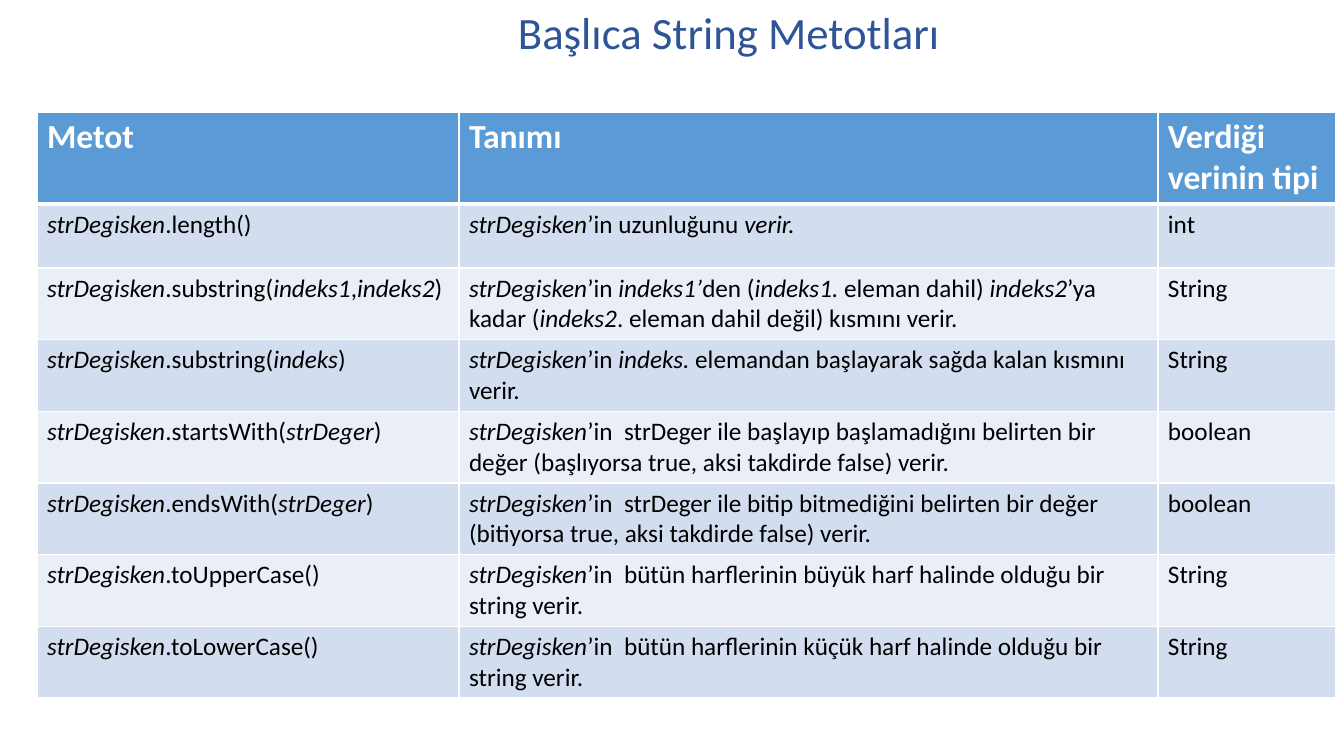
from lxml import etree
from pptx import Presentation
from pptx import util as u
from pptx.dml.color import RGBColor
from pptx.enum import text
from pptx.oxml.ns import qn

TITLE = "Başlıca String Metotları"
HEADER = ("Metot", "Tanımı", "Verdiği verinin tipi")
# Asterisks enclose italic words.
METHODS = [
    ("*strDegisken*.length()", "*strDegisken*’in uzunluğunu* verir.*", "int"),
    ("*strDegisken*.substring(*indeks1*,*indeks2*)",
     "*strDegisken*’in* indeks1’*den (*indeks1. *eleman dahil) *indeks2*’ya kadar "
     "(*indeks2*. eleman dahil değil) kısmını verir.", "String"),
    ("*strDegisken*.substring(*indeks*)",
     "*strDegisken*’in* indeks. *elemandan başlayarak sağda kalan kısmını verir.", "String"),
    ("*strDegisken*.startsWith(*strDeger*)",
     "*strDegisken*’in  strDeger ile başlayıp başlamadığını belirten bir değer "
     "(başlıyorsa true, aksi takdirde false) verir.", "boolean"),
    ("*strDegisken*.endsWith(*strDeger*)",
     "*strDegisken*’in  strDeger ile bitip bitmediğini belirten bir değer "
     "(bitiyorsa true, aksi takdirde false) verir.", "boolean"),
    ("*strDegisken*.toUpperCase()",
     "*strDegisken*’in  bütün harflerinin büyük harf halinde olduğu bir string verir.", "String"),
    ("*strDegisken*.toLowerCase()",
     "*strDegisken*’in  bütün harflerinin küçük harf halinde olduğu bir string verir.", "String"),
]
COLORS = {"title": "2F5597", "header": "5B9BD5", "odd": "D2DEEF", "even": "EAEFF7",
          "white": "FFFFFF", "black": "000000"}
FONT = "Calibri"
COLUMN_WIDTHS = (422, 699, 178)
ROW_HEIGHT = 64


def px(length):
    return u.Emu(round(length * 914400 / 100.8))


def color(name):
    return RGBColor.from_string(COLORS[name])


def write(para, marked, size, color_name, bold=False):
    """Fill a paragraph, setting the parts between asterisks in italics."""
    para.font.name = FONT
    para.font.size = u.Pt(size)
    para.font.bold = bold
    para.font.color.rgb = color(color_name)
    for index, part in enumerate(marked.split("*")):
        if part:
            span = para.add_run()
            span.text = part
            if index % 2:
                span.font.italic = True


def add_borders(cell, bottom_width):
    properties = cell._tc.get_or_add_tcPr()
    widths = {"a:lnL": 1, "a:lnR": 1, "a:lnT": 1, "a:lnB": bottom_width}
    for position, (side, width) in enumerate(widths.items()):
        line = etree.Element(qn(side), w=str(u.Pt(width)))
        fill = etree.SubElement(line, qn("a:solidFill"))
        etree.SubElement(fill, qn("a:srgbClr"), val=COLORS["white"])
        properties.insert(position, line)


def add_methods_table(page):
    rows = [HEADER] + METHODS
    frame = page.shapes.add_table(len(rows), len(HEADER), px(37), px(112),
                                  px(sum(COLUMN_WIDTHS)), px(ROW_HEIGHT * len(rows)))
    table = frame.table
    for column, width in zip(table.columns, COLUMN_WIDTHS):
        column.width = px(width)
    for r, row in enumerate(rows):
        is_header = r == 0
        fill_name = "header" if is_header else "odd" if r % 2 else "even"
        for c, marked in enumerate(row):
            cell = table.cell(r, c)
            cell.fill.solid()
            cell.fill.fore_color.rgb = color(fill_name)
            add_borders(cell, 3 if is_header else 1)
            write(cell.text_frame.paragraphs[0], marked, 24 if is_header else 18,
                  "white" if is_header else "black", is_header)


def add_title(page):
    box = page.shapes.add_textbox(px(508), px(0), px(445), px(64))
    box.text_frame.word_wrap = False
    box.text_frame.auto_size = text.MSO_AUTO_SIZE.SHAPE_TO_FIT_TEXT
    write(box.text_frame.paragraphs[0], TITLE, 32, "title")


def main():
    deck = Presentation()
    deck.slide_width, deck.slide_height = px(1344), px(756)
    page = deck.slides.add_slide(deck.slide_layouts[6])
    add_methods_table(page)
    add_title(page)
    deck.save("out.pptx")


if __name__ == "__main__":
    main()
